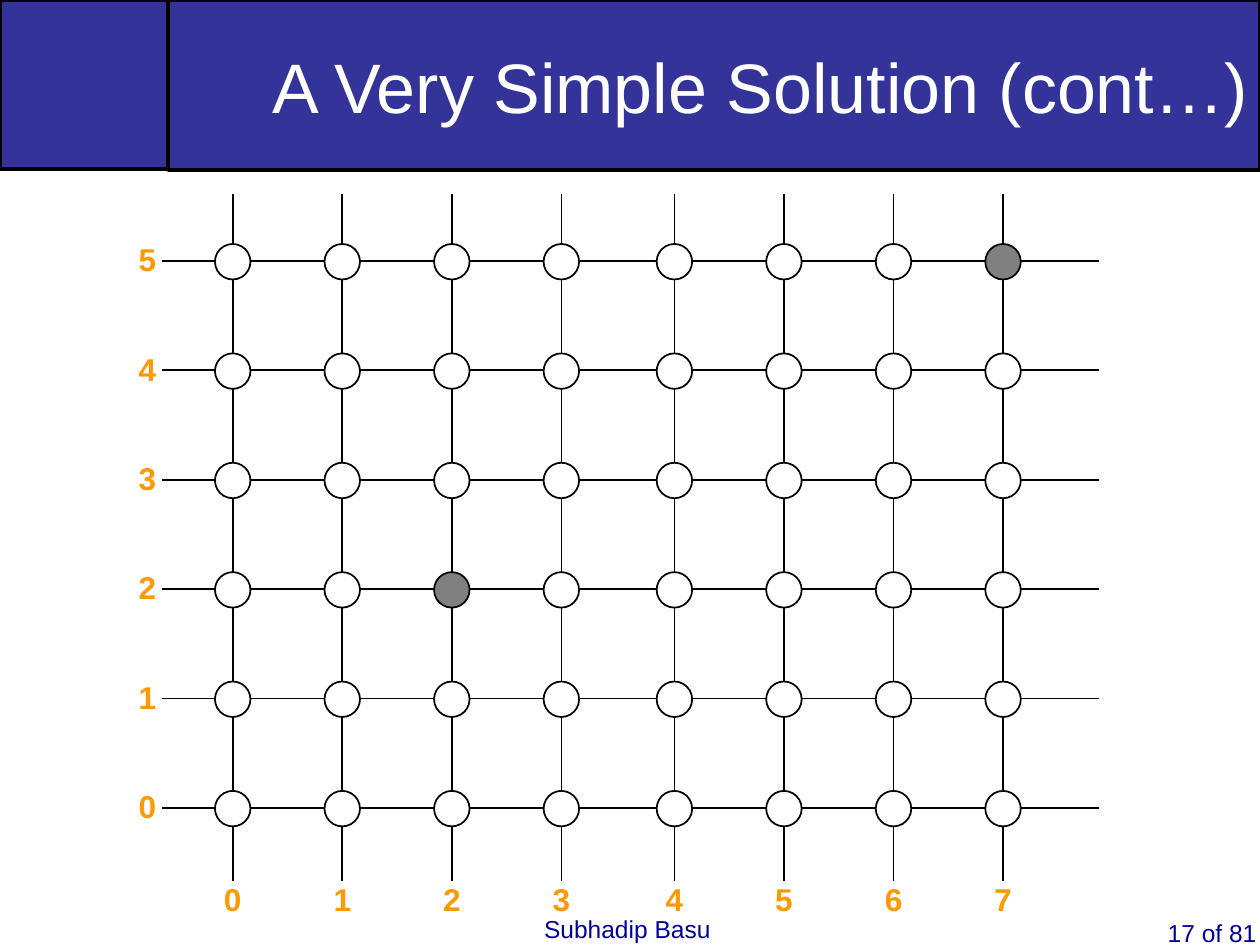
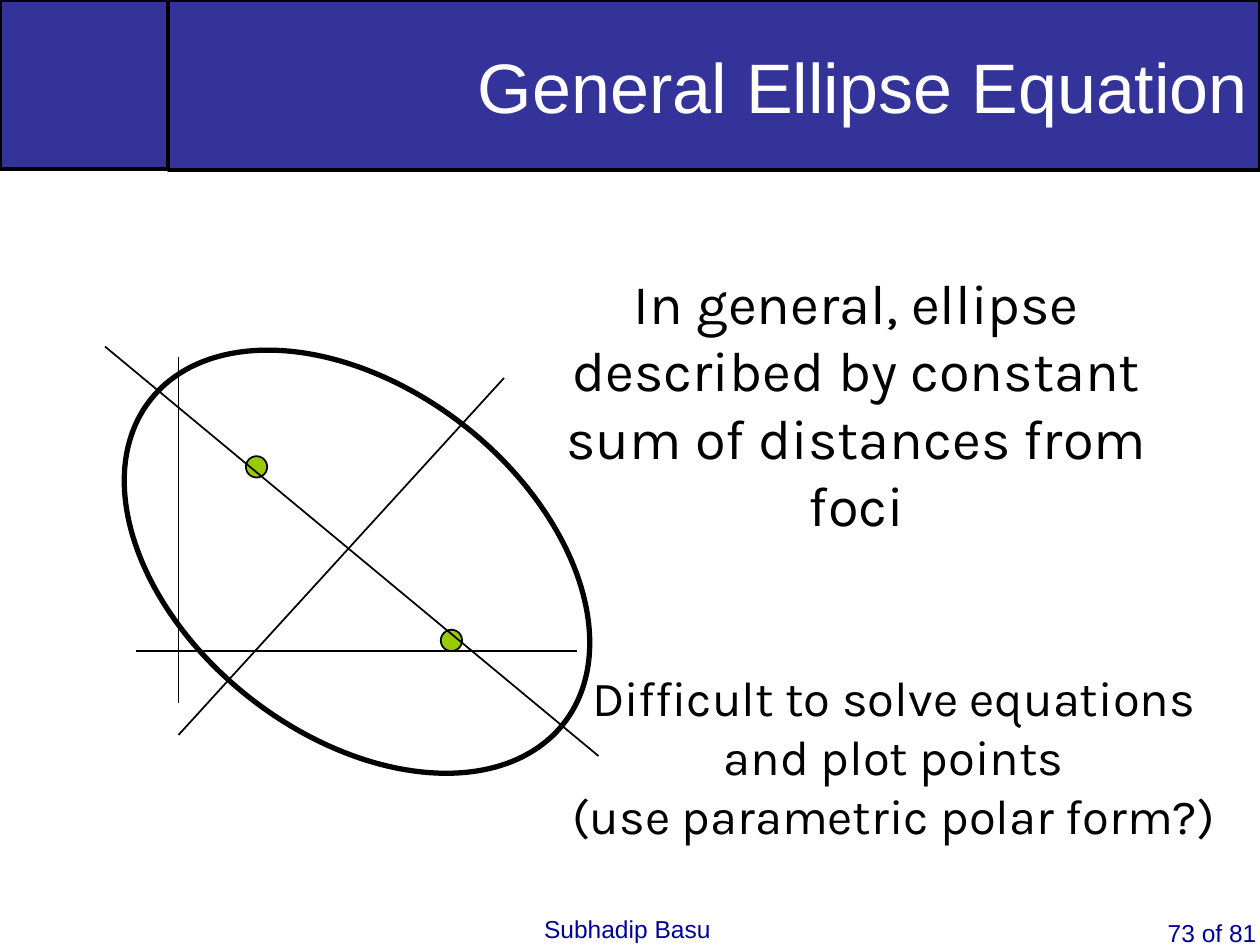
from dataclasses import dataclass
from typing import Optional

from lxml.etree import SubElement
from pptx import Presentation
from pptx.dml.color import RGBColor
from pptx.enum.shapes import MSO_CONNECTOR as Connector, MSO_SHAPE as Preset
from pptx.enum.text import MSO_ANCHOR as Anchor, PP_ALIGN as Align
from pptx.oxml.ns import qn
from pptx.util import Pt

# Shared colours and fonts
WHITE, BLACK, GREY = "FFFFFF", "000000", "808080"
BAND, FOOTER, ORANGE, GREEN = "333399", "000099", "FF9900", "99CC00"
HEAD_FONT, BODY_FONT = "Arial", "Karla"

# Shared page layout
PAGE_W, PAGE_H = 720, 540
CORNER_W, CORNER_H, BAND_H = 96, 96.5, 97.2
PAGE_TOTAL = 81

# Pixel grid on the first slide
COLUMNS, ROWS = 8, 6
PIXEL_SIZE = 20.3
LABEL_W, LABEL_H = 24.5, 28.8
LIT_PIXELS = {(2, 2), (7, 5)}


@dataclass(frozen=True)
class Box:
    left: float
    top: float
    width: float
    height: float

    def lengths(self) -> tuple:
        return Pt(self.left), Pt(self.top), Pt(self.width), Pt(self.height)


@dataclass(frozen=True)
class Style:
    size: float
    colour: str
    font: str = HEAD_FONT
    align: Align = Align.LEFT
    bold: bool = False


@dataclass(frozen=True)
class Line:
    x1: float
    y1: float
    x2: float
    y2: float


TITLE = Style(40, WHITE, align=Align.RIGHT)
SMALL = Style(14, FOOTER)
AXIS_LABEL = Style(18, ORANGE, align=Align.CENTER, bold=True)


def rgb(colour: str) -> RGBColor:
    return RGBColor.from_string(colour)


def write(frame, words: str, style: Style) -> None:
    paragraph = frame.paragraphs[0]
    paragraph.text = words
    paragraph.alignment = style.align
    for run in paragraph.runs:
        run.font.size = Pt(style.size)
        run.font.name = style.font
        run.font.bold = style.bold
        run.font.color.rgb = rgb(style.colour)


def add_text(slide, box: Box, words: str, style: Style, wrap: bool = True) -> None:
    frame = slide.shapes.add_textbox(*box.lengths()).text_frame
    frame.word_wrap = wrap
    write(frame, words, style)


def add_preset(slide, preset: Preset, box: Box, fill: Optional[str], weight: float):
    shape = slide.shapes.add_shape(preset, *box.lengths())
    shape.shadow.inherit = False
    if fill:
        shape.fill.solid()
        shape.fill.fore_color.rgb = rgb(fill)
    else:
        shape.fill.background()
    shape.line.color.rgb = rgb(BLACK)
    shape.line.width = Pt(weight)
    return shape


def add_dot(slide, x: float, y: float, size: float, fill: str) -> None:
    box = Box(x - size / 2, y - size / 2, size, size)
    add_preset(slide, Preset.OVAL, box, fill, 1)


def add_line(slide, line: Line) -> None:
    connector = slide.shapes.add_connector(
        Connector.STRAIGHT, Pt(line.x1), Pt(line.y1), Pt(line.x2), Pt(line.y2))
    connector.line.color.rgb = rgb(BLACK)
    connector.line.width = Pt(1)
    SubElement(connector._element.spPr, qn("a:effectLst"))


def add_page(deck, title: str, number: int):
    """Blank slide with the title band, author and page number."""
    slide = deck.slides.add_slide(deck.slide_layouts[6])
    add_preset(slide, Preset.RECTANGLE, Box(0, 0, CORNER_W, CORNER_H), BAND, 2)
    add_text(slide, Box(660.2, 521.3, 70.6, 41), f"{number} of {PAGE_TOTAL}", SMALL)
    add_text(slide, Box(303.8, 519, 109.4, 24.5), "Subhadip Basu", SMALL, wrap=False)
    band = add_preset(slide, Preset.RECTANGLE,
                      Box(CORNER_W, 0, PAGE_W - CORNER_W, BAND_H), BAND, 2)
    band.text_frame.word_wrap = True
    band.text_frame.vertical_anchor = Anchor.MIDDLE
    write(band.text_frame, title, TITLE)
    return slide


def column_x(column: int) -> float:
    # The right half of the grid stands slightly apart
    return 133 + 62.6 * column + (2 if column >= COLUMNS // 2 else 0)


def row_y(row: int) -> float:
    return 461.6 - 62.5 * row


def add_axis_label(slide, x: float, y: float, value: int) -> None:
    box = Box(x - LABEL_W / 2, y - LABEL_H / 2, LABEL_W, LABEL_H)
    add_text(slide, box, str(value), AXIS_LABEL, wrap=False)


def build_pixel_grid(deck) -> None:
    slide = add_page(deck, "A Very Simple Solution (cont…)", 17)

    # Grid lines
    for row in range(ROWS):
        add_line(slide, Line(628, row_y(row), 92.8, row_y(row)))
    for column in range(COLUMNS):
        add_line(slide, Line(column_x(column), 110.8, column_x(column), 503.4))

    # Pixels, with the two end points lit
    for row in range(ROWS):
        for column in range(COLUMNS):
            fill = GREY if (column, row) in LIT_PIXELS else WHITE
            add_dot(slide, column_x(column), row_y(row) + 0.5, PIXEL_SIZE, fill)

    # Axis numbers
    for row in range(ROWS):
        add_axis_label(slide, 84.2, row_y(row) - 1, row)
    for column in range(COLUMNS):
        add_axis_label(slide, column_x(column), 514, column)


def build_ellipse(deck) -> None:
    slide = add_page(deck, "General Ellipse Equation", 73)

    # Foci and tilted ellipse
    for x, y in ((146.6, 266.8), (258, 366)):
        add_dot(slide, x, y, 12.2, GREEN)
    ellipse = add_preset(slide, Preset.OVAL, Box(54, 222, 300, 198), None, 3)
    ellipse.rotation = 38

    # Coordinate axes, then major and minor axes
    for axis in (Line(102, 204, 102, 402), Line(78, 372, 330, 372),
                 Line(60, 198, 342, 432), Line(102, 420, 288, 216)):
        add_line(slide, axis)

    # Explanations
    add_text(slide, Box(294, 150, 391, 161.3),
             "In general, ellipse described by constant sum of distances from foci",
             Style(32, BLACK, BODY_FONT, Align.CENTER))
    add_text(slide, Box(318, 378, 385.2, 141.8),
             "Difficult to solve equations and plot points\n(use parametric polar form?)",
             Style(28, BLACK, BODY_FONT, Align.CENTER))


def main() -> None:
    deck = Presentation()
    deck.slide_width, deck.slide_height = Pt(PAGE_W), Pt(PAGE_H)
    build_pixel_grid(deck)
    build_ellipse(deck)
    deck.save("out.pptx")


if __name__ == "__main__":
    main()
